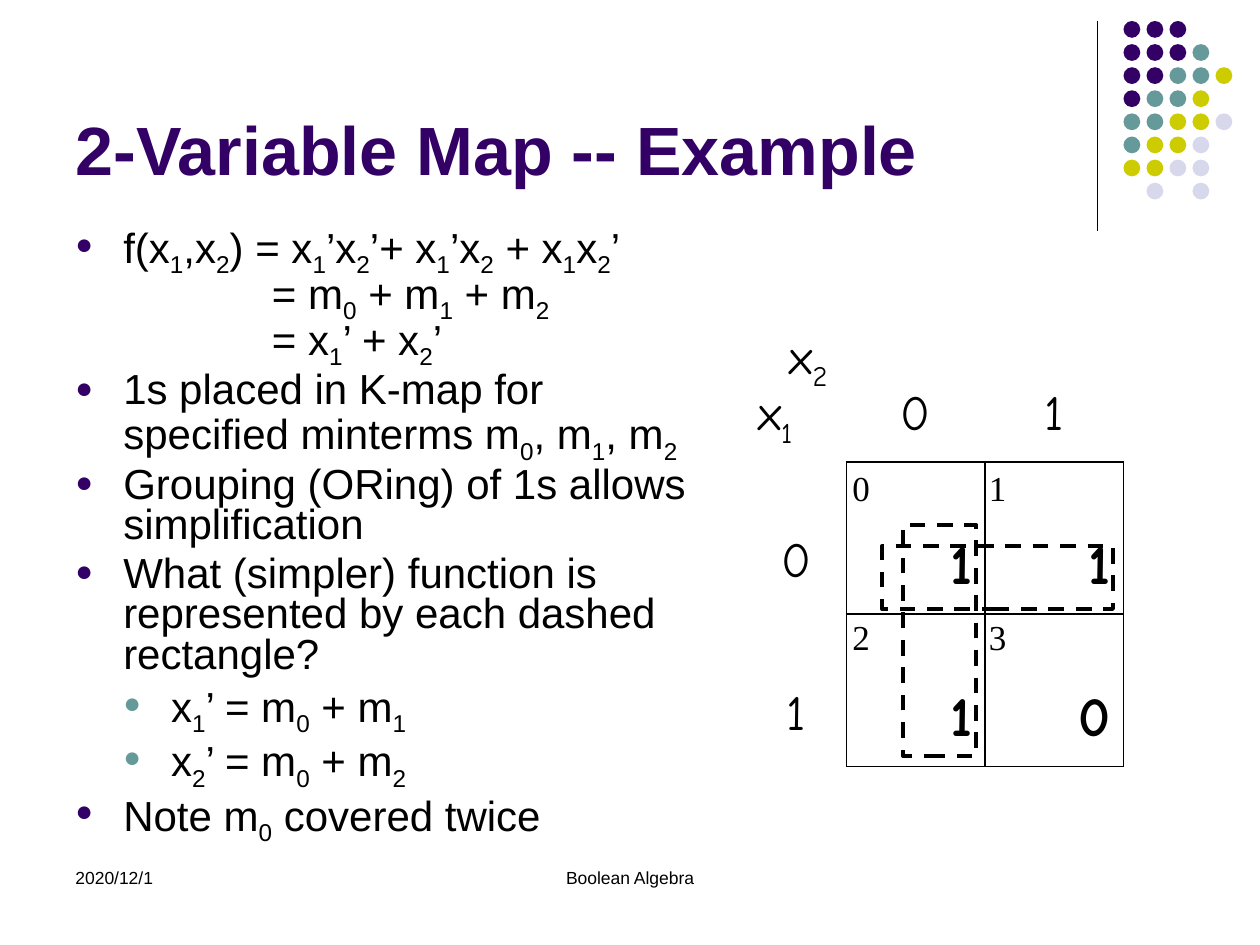
from pptx import Presentation
from pptx.dml.color import RGBColor as RGB
from pptx.enum.dml import MSO_LINE as Dash
from pptx.enum.shapes import MSO_CONNECTOR as Link, MSO_SHAPE as Kind
from pptx.enum.text import MSO_ANCHOR as Anchor, PP_ALIGN as Align
from pptx.oxml import parse_xml
from pptx.oxml.ns import nsdecls, qn
from pptx.util import Inches, Pt
from lxml.etree import SubElement as Sub

UNIT = Inches(1) / 12
BLACK, PURPLE, TEAL = "000000", "330066", "669999"


def grid(*cells):
    return [round(cell * UNIT) for cell in cells]


def write(para, text, face, size, color=BLACK, **form):
    look = {"name": face, "size": Pt(size), "bold": False, **form}
    for turn, part in enumerate(text.split("_")):
        if not part:
            continue
        run = para.add_run()
        run.text = part
        for key, value in look.items():
            setattr(run.font, key, value)
        run.font.color.rgb = RGB.from_string(color)
        if turn % 2:
            run._r.get_or_add_rPr().set("baseline", "-25000")


deck = Presentation()
deck.slide_width, deck.slide_height = grid(120, 90)
slide = deck.slides.add_slide(deck.slide_layouts[6])
shapes = slide.shapes

rule = shapes.add_connector(Link.STRAIGHT, *grid(104.5, 2, 104.5, 22))
rule.line.color.rgb = RGB.from_string(BLACK)
rule.line.width = Pt(0.75)
Sub(rule._element.spPr, qn("a:effectLst"))

tints = {"P": PURPLE, "T": TEAL, "Y": "CCCC00", "L": "D8D8EC"}
dots = ["PPP", "PPPT", "PPTTY", "PTTY", "TTYYL", "TYYL", "YYLL", " L L"]
for row, line in enumerate(dots):
    for col, key in enumerate(line):
        if key in tints:
            dot = shapes.add_shape(Kind.OVAL, *grid(107 + 2.19 * col, 2 + 2.2 * row, 1.6, 1.6))
            dot.shadow.inherit = False
            dot.fill.solid()
            dot.fill.fore_color.rgb = RGB.from_string(tints[key])
            dot.line.fill.background()

LEFT, MID = Align.LEFT, Align.CENTER
title = {"face": "Arial", "size": 39, "color": PURPLE, "bold": True}
foot = {"face": "Arial", "size": 10}
hand = {"face": "Comic Neue", "size": 28}
index = {"face": "Times New Roman", "size": 20}
labels = [
    ("2-Variable Map -- Example", (6, 1.6, 99, 17), title, LEFT, Anchor.BOTTOM, True),
    ("2020/12/1", (6, 82, 28, 6), foot, LEFT, Anchor.TOP, True),
    ("Boolean Algebra", (41, 82, 38, 6), foot, MID, Anchor.TOP, True),
    ("x_2_", (74, 30.4, 7, 6.8), hand, LEFT, Anchor.TOP, False),
    ("0", (80, 43.8, 4, 5.2), index, LEFT, Anchor.TOP, False),
    ("1", (93, 43.8, 4, 5.2), index, LEFT, Anchor.TOP, False),
    ("2", (80, 58, 4, 5.2), index, LEFT, Anchor.TOP, False),
    ("3", (93, 58, 4, 5.2), index, LEFT, Anchor.TOP, False),
]

body = shapes.add_textbox(*grid(6, 21, 63.5, 59.4)).text_frame
body.word_wrap = True
points = [
    ("f(x_1_,x_2_) = x_1_’x_2_’+ x_1_’x_2_ + x_1_x_2_’", 0),
    ("= m_0_ + m_1_ + m_2_", None),
    ("= x_1_’ + x_2_’", None),
    ("1s placed in K-map for specified minterms m_0_, m_1_, m_2_", 0),
    ("Grouping (ORing) of 1s allows simplification", 0),
    ("What (simpler) function is represented by each dashed rectangle?", 0),
    ("x_1_’ = m_0_ + m_1_", 1),
    ("x_2_’ = m_0_ + m_2_", 1),
    ("Note m_0_ covered twice", 0),
]
for turn, (text, level) in enumerate(points):
    para = body.add_paragraph() if turn else body.paragraphs[0]
    para.line_spacing = 0.8
    para.space_before = Pt(0 if level is None else 4.8)
    props = para._p.get_or_add_pPr()
    if level is None:
        props.set("marL", str(Inches(1.56)))
        props.set("indent", "0")
        Sub(props, qn("a:buNone"))
    else:
        para.level = level
        props.set("marL", str(Inches(0.38 * (level + 1))))
        props.set("indent", str(-Inches(0.38)))
        Sub(Sub(props, qn("a:buClr")), qn("a:srgbClr")).set("val", [PURPLE, TEAL][level])
        Sub(props, qn("a:buSzPct")).set("val", "70000")
        Sub(props, qn("a:buFont")).set("typeface", "Arial")
        Sub(props, qn("a:buChar")).set("char", "●")
    write(para, text, "Arial", 24)

frame = shapes.add_table(3, 3, *grid(71, 30, 36, 43))
table = frame.table
table.first_row = table.horz_banding = False
table._tbl.tblPr.find(qn("a:tableStyleId")).text = "{2D5ABB26-0587-4C30-8999-92F81FD0307C}"
for col, width in zip(table.columns, grid(9.6, 13.2, 13.2)):
    col.width = width
for row, height in zip(table.rows, grid(14, 14.5, 14.5)):
    row.height = height
values = [["x_1_", "0", "1"], ["0", "1", "1"], ["1", "1", "0"]]
for row, line in enumerate(values):
    for col, text in enumerate(line):
        cell = table.cell(row, col)
        cell.margin_top = Inches(0.57)
        cell.fill.background()
        para = cell.text_frame.paragraphs[0]
        inner = row > 0 and col > 0
        para.alignment = Align.RIGHT if inner else MID if row or col else LEFT
        write(para, text, "Comic Neue", 32 if inner else 28, bold=inner)
        sides = "LRTB" if inner else "R" if row else "B" if col else ""
        for spot, side in enumerate(sides):
            edge = parse_xml(
                f'<a:ln{side} {nsdecls("a")} w="12700"><a:solidFill>'
                f'<a:srgbClr val="{BLACK}"/></a:solidFill></a:ln{side}>')
            cell._tc.get_or_add_tcPr().insert(spot, edge)

for text, place, form, align, anchor, wrap in labels:
    label = shapes.add_textbox(*grid(*place)).text_frame
    label.word_wrap = wrap
    label.vertical_anchor = anchor
    label.paragraphs[0].alignment = align
    write(label.paragraphs[0], text, **form)

for place in [(86, 50, 7, 22), (84, 52, 22, 6)]:
    group = shapes.add_shape(Kind.RECTANGLE, *grid(*place))
    group.shadow.inherit = False
    group.fill.background()
    group.line.color.rgb = RGB.from_string(BLACK)
    group.line.width = Pt(2.25)
    group.line.dash_style = Dash.DASH

deck.save("out.pptx")
